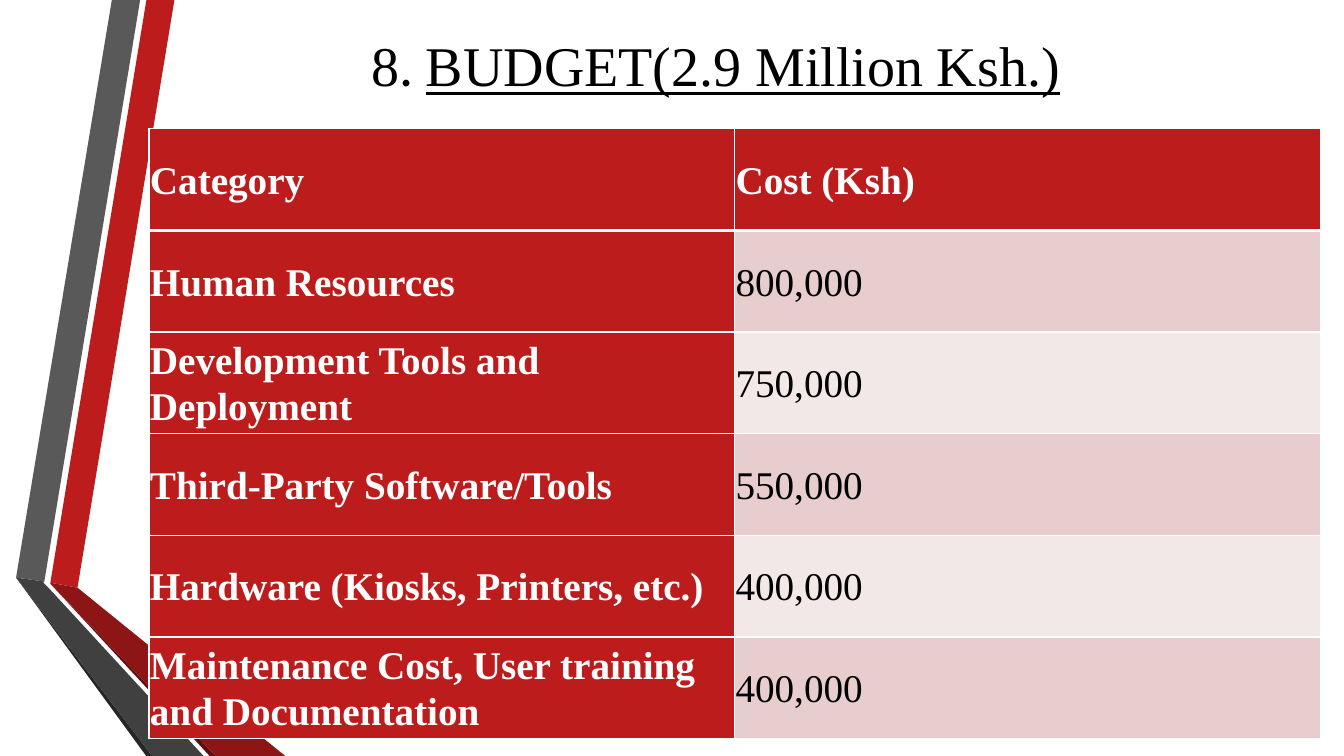
from lxml.etree import SubElement
from pptx import Presentation
from pptx.dml.color import RGBColor
from pptx.enum.text import MSO_ANCHOR, PP_ALIGN
from pptx.oxml.ns import qn
from pptx.util import Pt

WHITE = RGBColor(0xFF, 0xFF, 0xFF)
BLACK = RGBColor(0x00, 0x00, 0x00)
RED = RGBColor(0xBC, 0x1C, 0x1C)
DEEP_RED = RGBColor(0x8D, 0x15, 0x15)
DARKEST_RED = RGBColor(0x5E, 0x0E, 0x0E)
GREY = RGBColor(0x59, 0x59, 0x59)
DEEP_GREY = RGBColor(0x40, 0x40, 0x40)
DARKEST_GREY = RGBColor(0x26, 0x26, 0x26)
PINK = RGBColor(0xE7, 0xCD, 0xCD)
PALE_PINK = RGBColor(0xF3, 0xE8, 0xE8)

SERIF = "Times New Roman"
SANS = "Calibri"

RIBBONS = [
    (RED, [(36, 416.2), (55.4, 419.8), (124.6, 0), (104.6, 0)]),
    (GREY, [(100.1, 0), (79.9, 0), (11.5, 412.6), (31.7, 415.4)]),
    (DARKEST_GREY, [(11.5, 412.6), (104.4, 540), (108.7, 540)]),
    (DARKEST_RED, [(36, 416.9), (149.8, 540), (154.1, 540)]),
    (DEEP_RED, [(36, 416.2), (36, 416.9), (154.1, 540), (203.8, 540), (55.4, 419.8)]),
    (DEEP_GREY, [(145.4, 540), (34.6, 419.8), (31, 416.2), (31.7, 415.4),
                 (11.5, 412.6), (108.7, 540)]),
]

BUDGET = [
    ("Category", "Cost (Ksh)"),
    ("Human Resources", "800,000"),
    ("Development Tools and Deployment", "750,000"),
    ("Third-Party Software/Tools", "550,000"),
    ("Hardware (Kiosks, Printers, etc.)", "400,000"),
    ("Maintenance Cost, User training and Documentation", "400,000"),
]


def add_span(para, text, size, color, font=SERIF, bold=False, underline=False):
    """Append one formatted run to a paragraph."""
    span = para.add_run()
    span.text = text
    span.font.size = Pt(size)
    span.font.name = font
    span.font.bold = bold
    span.font.underline = underline
    span.font.color.rgb = color


def add_ribbons(page, left, top):
    """Draw the folded ribbons from the given corner."""
    for color, corners in RIBBONS:
        points = [(Pt(left + x), Pt(top + y)) for x, y in corners]
        builder = page.shapes.build_freeform(*points[0])
        builder.add_line_segments(points[1:], close=True)
        ribbon = builder.convert_to_shape()
        ribbon.shadow.inherit = False
        ribbon.fill.solid()
        ribbon.fill.fore_color.rgb = color
        ribbon.line.fill.background()


def add_title(page, left, top, width, height):
    """Place and write the slide title."""
    box = page.shapes.title
    box.left, box.top, box.width, box.height = Pt(left), Pt(top), Pt(width), Pt(height)
    frame = box.text_frame
    frame.word_wrap = True
    frame.vertical_anchor = MSO_ANCHOR.MIDDLE
    para = frame.paragraphs[0]
    para.alignment = PP_ALIGN.CENTER
    add_span(para, "8", 40, BLACK)
    add_span(para, ". ", 40, BLACK, font=SANS)
    add_span(para, "BUDGET(2.9 Million Ksh.)", 40, BLACK, underline=True)


def set_borders(cell, top, bottom):
    """Give a cell white borders, thin at the sides."""
    properties = cell._tc.get_or_add_tcPr()
    for side, weight in (("L", 1), ("R", 1), ("T", top), ("B", bottom)):
        line = SubElement(properties, qn(f"a:ln{side}"), w=str(Pt(weight)))
        fill = SubElement(line, qn("a:solidFill"))
        SubElement(fill, qn("a:srgbClr"), val=str(WHITE))


def fill_cell(cell, text, row, column):
    """Write and colour one cell by its place in the table."""
    strong = row == 0 or column == 0
    set_borders(cell, 3 if row == 1 else 1, 3 if row == 0 else 1)
    cell.fill.solid()
    cell.fill.fore_color.rgb = RED if strong else (PINK if row % 2 else PALE_PINK)
    cell.vertical_anchor = MSO_ANCHOR.MIDDLE
    cell.margin_left = cell.margin_right = Pt(0.7)
    cell.margin_top = cell.margin_bottom = Pt(0.7)
    para = cell.text_frame.paragraphs[0]
    para.line_spacing = 1.07
    para.space_after = Pt(8)
    add_span(para, text, 28, WHITE if strong else BLACK, bold=strong)


def add_budget(page, left, top, width, height):
    """Build the budget table in the given box."""
    frame = page.shapes.add_table(len(BUDGET), 2, Pt(left), Pt(top), Pt(width), Pt(height))
    table = frame.table
    table.first_col = True
    for column in table.columns:
        column.width = Pt(width / 2)
    for row, entries in enumerate(BUDGET):
        table.rows[row].height = Pt(height / len(BUDGET))
        for column, text in enumerate(entries):
            fill_cell(table.cell(row, column), text, row, column)


def main():
    """Build and save the deck."""
    deck = Presentation()
    deck.slide_width, deck.slide_height = Pt(960), Pt(540)
    page = deck.slides.add_slide(deck.slide_layouts[5])
    page.background.fill.solid()
    page.background.fill.fore_color.rgb = WHITE
    add_ribbons(page, 0, 0)
    add_title(page, 116.6, 0, 789.1, 92.2)
    add_budget(page, 106.4, 92, 836.6, 435.6)
    deck.save("out.pptx")


if __name__ == "__main__":
    main()
